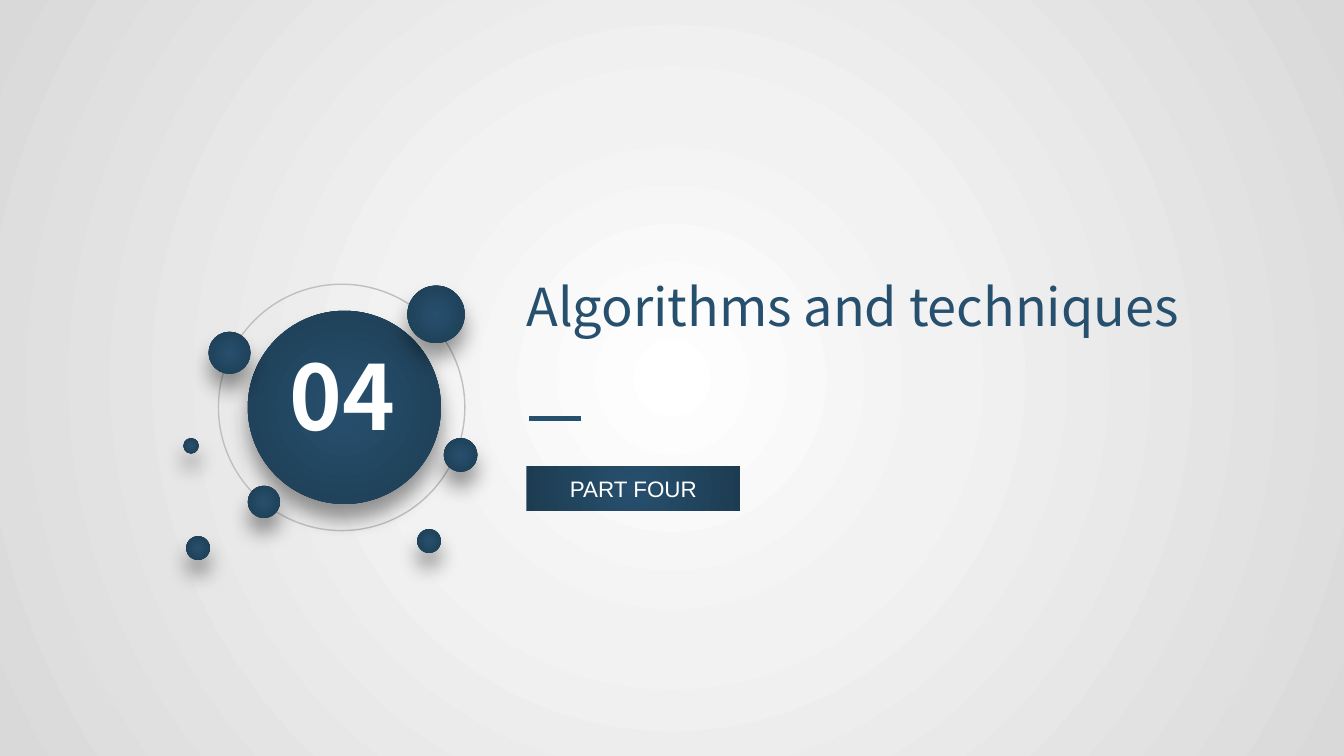
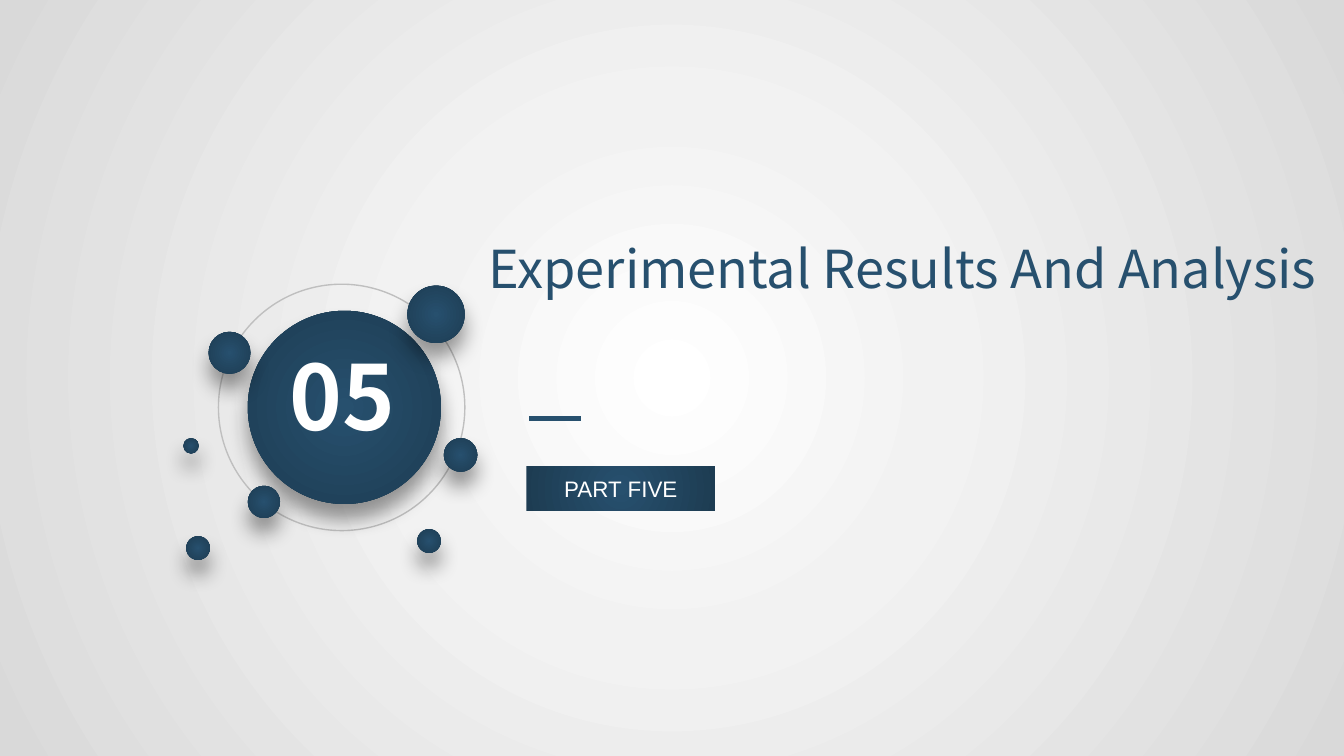
import pptx
import pptx.util
import pptx.dml.color
import pptx.enum.shapes
import pptx.enum.text
import pptx.oxml
import pptx.oxml.ns
import lxml.etree

PX = 9525
NAVY, DEEP_NAVY, GREY, WHITE = "27506E", "1D3C52", "BFBFBF", "FFFFFF"
HEAD_FONT, LABEL_FONT = "Noto Sans CJK SC", "Arial"
PAGE_STOPS = [(0, WHITE), (35, "F2F2F2"), (100, "D9D9D9")]
NAVY_STOPS = [(0, NAVY), (100, DEEP_NAVY)]
SHADOW = (
    f'<a:outerShdw {pptx.oxml.ns.nsdecls("a")} blurRad="139700" dist="101600" '
    'dir="5400000" algn="ctr" rotWithShape="0">'
    '<a:srgbClr val="000000"><a:alpha val="40000"/></a:srgbClr></a:outerShdw>'
)

SHAPE = pptx.enum.shapes.MSO_SHAPE
ALIGN = pptx.enum.text.PP_ALIGN
ANCHOR = pptx.enum.text.MSO_ANCHOR
qn = pptx.oxml.ns.qn
rgb = pptx.dml.color.RGBColor.from_string

# left, top, diameter
DISC = (177, 222, 138)
DOTS = [
    (291, 204, 41), (149, 237, 30), (133, 383, 17), (177, 347, 23),
    (317, 313, 24), (298, 378, 17), (131, 313, 11),
]
# number, title, title left, title top, title width, label, label width
SECTIONS = [
    ("04", "Algorithms and techniques", 368, 197, 501, "PART FOUR", 153),
    ("05", "Experimental Results And Analysis", 341, 170, 635, "PART FIVE", 135),
]


def radial_fill(fill, parent, stops):
    """Give parent's fill a circular gradient spreading from its centre."""
    fill.solid()
    gs = "".join(
        f'<a:gs pos="{pos * 1000}"><a:srgbClr val="{color}"/></a:gs>'
        for pos, color in stops
    )
    grad = pptx.oxml.parse_xml(
        f'<a:gradFill {pptx.oxml.ns.nsdecls("a")} rotWithShape="1">'
        f'<a:gsLst>{gs}</a:gsLst><a:path path="circle">'
        '<a:fillToRect l="50000" t="50000" r="50000" b="50000"/></a:path></a:gradFill>'
    )
    parent.replace(parent.find(qn("a:solidFill")), grad)


def write(sp, text, align, anchor, spacing, wrap, **font):
    tf = sp.text_frame
    frame = dict(
        auto_size=pptx.enum.text.MSO_AUTO_SIZE.NONE, word_wrap=wrap,
        vertical_anchor=anchor, margin_left=8 * PX, margin_right=8 * PX,
        margin_top=4 * PX, margin_bottom=4 * PX,
    )
    for name, value in frame.items():
        setattr(tf, name, value)
    p = tf.paragraphs[0]
    p.alignment, p.line_spacing = align, spacing
    r = p.add_run()
    r.text = text
    r.font.color.rgb = rgb(font.pop("color"))
    for name, value in font.items():
        setattr(r.font, name, value)


prs = pptx.Presentation()
prs.slide_width, prs.slide_height = 960 * PX, 540 * PX
master = prs.slide_master
page_fill = master.background.fill
radial_fill(page_fill, master.element.find(".//" + qn("p:bgPr")), PAGE_STOPS)

for number, title, left, top, width, label, label_width in SECTIONS:
    s = prs.slides.add_slide(prs.slide_layouts[5])

    ring = s.shapes.add_shape(SHAPE.OVAL, 156 * PX, 203 * PX, 176 * PX, 176 * PX)
    ring.shadow.inherit = False
    ring.fill.background()
    ring.line.color.rgb = rgb(GREY)
    ring.line.width = pptx.util.Pt(0.75)

    for x, y, d in [DISC] + DOTS:
        sp = s.shapes.add_shape(SHAPE.OVAL, x * PX, y * PX, d * PX, d * PX)
        sp.shadow.inherit = False
        sp.line.fill.background()
        spPr = sp.element.spPr
        radial_fill(sp.fill, spPr, NAVY_STOPS)
        spPr.find(qn("a:effectLst")).append(pptx.oxml.parse_xml(SHADOW))

    sp = s.shapes.add_textbox(195 * PX, 248 * PX, 99 * PX, 87 * PX)
    write(sp, number, ALIGN.CENTER, ANCHOR.TOP, 0.9, False,
          size=pptx.util.Pt(48), name=HEAD_FONT, bold=True, color=WHITE)

    sp = s.shapes.title
    sp.left, sp.top, sp.width, sp.height = left * PX, top * PX, width * PX, 55 * PX
    write(sp, title, ALIGN.LEFT, ANCHOR.TOP, 0.9, True,
          size=pptx.util.Pt(28), name=HEAD_FONT, color=NAVY)

    rule = s.shapes.add_connector(
        pptx.enum.shapes.MSO_CONNECTOR.STRAIGHT, 378 * PX, 299 * PX, 415 * PX, 299 * PX)
    rule.line.color.rgb = rgb(NAVY)
    rule.line.width = pptx.util.Pt(2.25)
    lxml.etree.SubElement(rule.element.spPr, qn("a:effectLst"))

    sp = s.shapes.add_shape(SHAPE.RECTANGLE, 376 * PX, 333 * PX, label_width * PX, 32 * PX)
    sp.shadow.inherit = False
    sp.line.fill.background()
    radial_fill(sp.fill, sp.element.spPr, NAVY_STOPS)
    write(sp, label, ALIGN.CENTER, ANCHOR.MIDDLE, 1.0, True,
          size=pptx.util.Pt(12), name=LABEL_FONT, color=WHITE)

prs.save("out.pptx")
